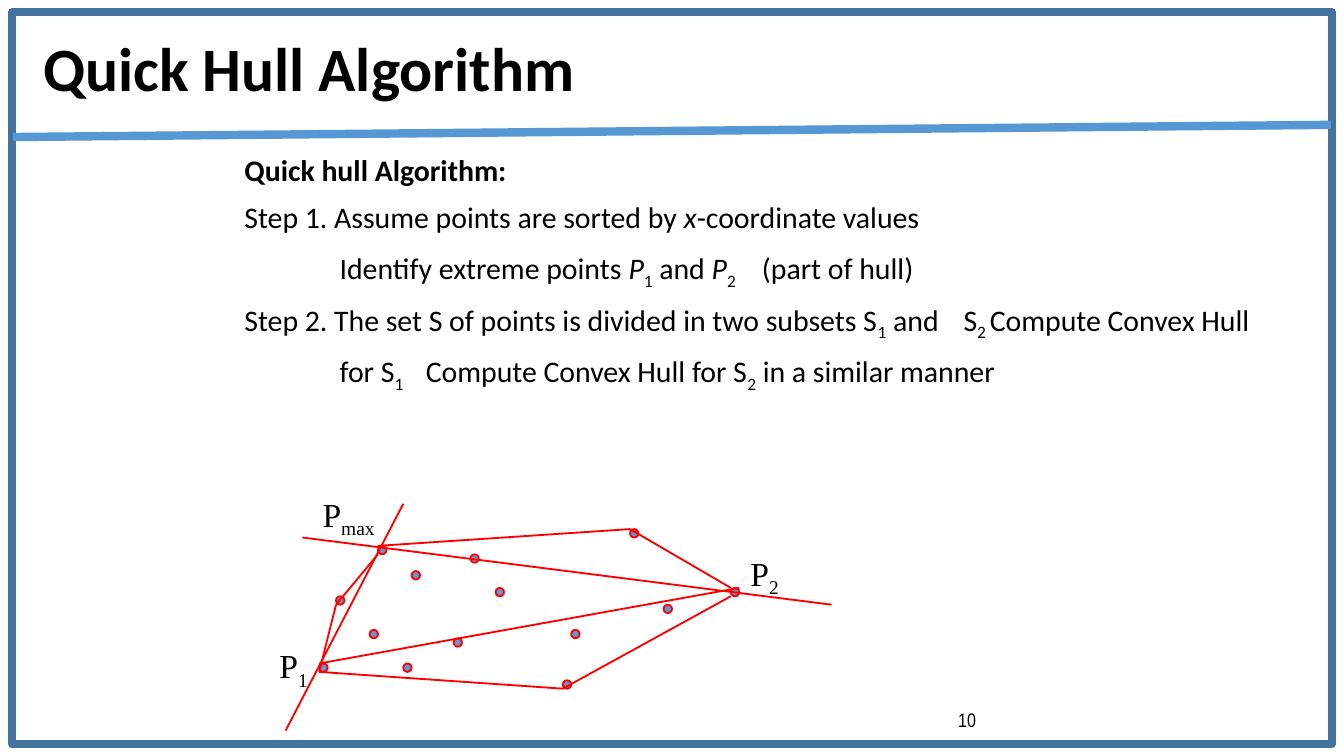
from typing import NamedTuple

from lxml.etree import SubElement as Sub
from pptx import Presentation
from pptx.dml.color import RGBColor as Rgb
from pptx.enum.shapes import MSO_CONNECTOR as Conn, MSO_SHAPE as Geo
from pptx.enum.text import MSO_ANCHOR as Anchor, PP_ALIGN as Align
from pptx.oxml.ns import qn
from pptx.util import Cm, Pt

GRID = 2.54 / 16  # the diagram sits on a grid of 1/16 inch, given in cm
RED, BLACK = "FF0000", "000000"


class Run(NamedTuple):
    text: str
    bold: bool = False
    slant: bool = False
    sub: bool = False


class Line(NamedTuple):
    indent: float
    runs: list[Run]
    tab: float = 0


class Box(NamedTuple):
    left: float
    top: float
    width: float
    height: float


class Style(NamedTuple):
    font: str
    size: float
    align: Align = Align.LEFT
    anchor: Anchor = Anchor.TOP
    pad: tuple[float, float] = (0.18, 0.18)
    space: float = 1
    before: float = 0
    wrap: bool = True


class Edge(NamedTuple):
    x1: float
    y1: float
    x2: float
    y2: float


def color(code: str) -> Rgb:
    return Rgb.from_string(code)


def write(slide, box: Box, style: Style, lines: list[Line]) -> None:
    frame = slide.shapes.add_textbox(*map(Cm, box)).text_frame
    frame.word_wrap = style.wrap
    frame.vertical_anchor = style.anchor
    frame.margin_left = frame.margin_right = Cm(style.pad[0])
    frame.margin_top = frame.margin_bottom = Cm(style.pad[1])
    for num, line in enumerate(lines):
        para = frame.add_paragraph() if num else frame.paragraphs[0]
        para.alignment = style.align
        para.line_spacing = style.space
        para.space_before = Pt(style.before)
        props = para._p.get_or_add_pPr()
        props.set("marL", "0")
        props.set("indent", str(Cm(line.indent)))
        if line.tab:
            tabs = Sub(props, qn("a:tabLst"))
            Sub(tabs, qn("a:tab"), pos=str(Cm(line.tab)), algn="l")
        for part in line.runs:
            run = para.add_run()
            run.text = part.text
            font = run.font
            font.name, font.size = style.font, Pt(style.size)
            font.bold, font.italic = part.bold, part.slant
            font.color.rgb = color(BLACK)
            if part.sub:
                run._r.get_or_add_rPr().set("baseline", "-25000")


def draw_edge(slide, edge: Edge, code: str, width: float) -> None:
    link = slide.shapes.add_connector(Conn.STRAIGHT, *map(Cm, edge))
    link.line.color.rgb = color(code)
    link.line.width = Pt(width)
    Sub(link._element.spPr, qn("a:effectLst"))


def draw_shape(slide, geo: Geo, box: Box, fill: str, code: str, width: float):
    shape = slide.shapes.add_shape(geo, *map(Cm, box))
    shape.shadow.inherit = False
    if fill:
        shape.fill.solid()
        shape.fill.fore_color.rgb = color(fill)
    else:
        shape.fill.background()
    shape.line.color.rgb = color(code)
    shape.line.width = Pt(width)
    return shape


TITLE = Style("Calibri", 33, anchor=Anchor.MIDDLE, space=0.9)
BODY = Style("Calibri", 16, align=Align.JUSTIFY, space=0.9, before=8)
PAGE = Style("Arial Narrow", 10.5, anchor=Anchor.MIDDLE, pad=(0.18, 0.1))
LABEL = Style("Times New Roman", 18, Align.CENTER, pad=(0.25, 0.13), wrap=False)

ONE, TWO = Run("1", sub=True), Run("2", sub=True)
P = Run("P", slant=True)
NEAR, FAR = 0.38, 2.18  # indents of the steps and of their details
STEPS = [
    Line(NEAR, [Run("Quick hull Algorithm:", bold=True)]),
    Line(NEAR, [Run("Step 1. Assume points are sorted by "),
                Run("x", slant=True), Run("-coordinate values")]),
    Line(FAR, [Run("Identify extreme points "), P, ONE, Run(" and "), P, TWO,
               Run("\t(part of hull)")], tab=9.93),
    Line(NEAR, [Run("Step 2. The set S of points is divided in two subsets S"),
                ONE, Run(" and\tS"), Run("2 ", sub=True),
                Run("Compute Convex Hull")], tab=14.03),
    Line(FAR, [Run("for S"), ONE, Run("\tCompute Convex Hull for S"), TWO,
               Run(" in a similar manner")], tab=4.15),
]

# Diagram, in grid units
DOTS = [(67, 81), (87, 70), (38, 79), (40, 71), (79, 72), (44, 75), (45, 65),
        (48, 79), (49, 68), (59, 70), (54, 76), (56, 66), (68, 75), (75, 63)]
HULL = [Edge(38, 80, 67, 82), Edge(67, 82, 87, 71), Edge(87, 70, 75, 63),
        Edge(75, 63, 45, 65), Edge(45, 66, 40, 72), Edge(38, 80, 40, 72)]
SPLITS = [Edge(38, 79, 88, 70), Edge(48, 60, 34, 87), Edge(99, 72, 36, 64)]
LABELS = [("1", Box(5, 12.07, 1.1, 1.02)), ("2", Box(13.9, 10.32, 1.1, 1.02)),
          ("max", Box(5.79, 9.2, 1.6, 1.02))]


def main() -> None:
    deck = Presentation()
    deck.slide_width, deck.slide_height = Cm(25.4), Cm(14.29)
    slide = deck.slides.add_slide(deck.slide_layouts[6])

    # Text
    write(slide, Box(0.64, 0.56, 23.67, 1.6), TITLE,
          [Line(0, [Run("Quick Hull Algorithm", bold=True)])])
    write(slide, Box(4.06, 2.77, 20.52, 5.94), BODY, STEPS)
    write(slide, Box(17.93, 13.23, 5.72, 0.76), PAGE, [Line(0, [Run("10")])])

    # Points, hull and dividing lines
    for x, y in DOTS:
        dot = Box(x * GRID, y * GRID, GRID, GRID)
        draw_shape(slide, Geo.OVAL, dot, "5B9BD5", RED, 1)
    for edge in HULL + SPLITS:
        draw_edge(slide, Edge(*(v * GRID for v in edge)), RED, 1)
    for name, box in LABELS:
        write(slide, box, LABEL, [Line(0, [Run("P"), Run(name, sub=True)])])

    # Frame and title rule
    frame = draw_shape(slide, Geo.RECTANGLE, Box(0.23, 0.23, 24.94, 13.84),
                       "", "43739E", 4.5)
    Sub(frame.line._get_or_add_ln(), qn("a:round"))
    draw_edge(slide, Edge(0.25, 2.59, 25.15, 2.36), "5698D3", 4.5)

    deck.save("out.pptx")


if __name__ == "__main__":
    main()
